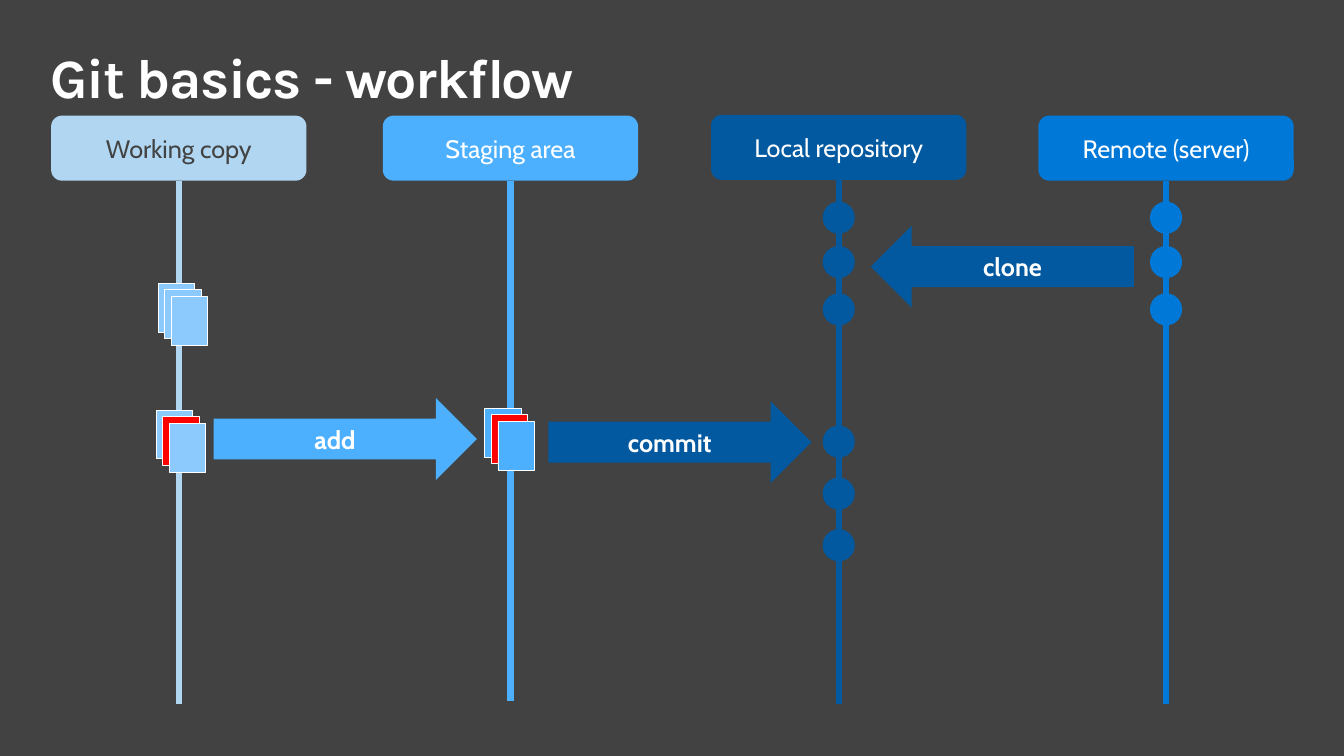
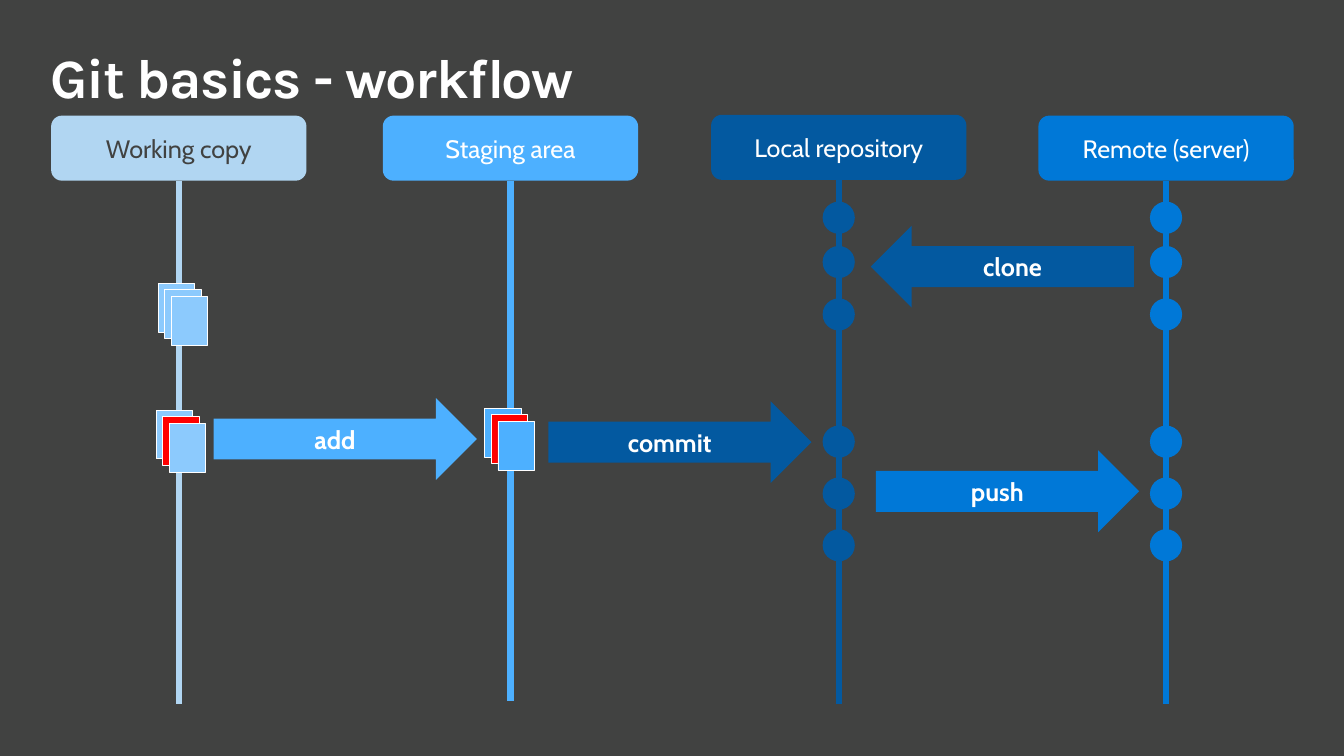
from pptx import Presentation
from pptx.dml.color import RGBColor
from pptx.enum.shapes import MSO_CONNECTOR, MSO_SHAPE
from pptx.enum.text import MSO_ANCHOR, PP_ALIGN
from pptx.oxml.ns import qn
from pptx.util import Pt
from lxml.etree import SubElement

COLORS = {
    "background": "414241",
    "white": "FFFFFF",
    "working": "B1D6F2",
    "staging": "4DB0FF",
    "local": "0359A0",
    "remote": "0078D7",
    "file": "8CCAFD",
    "changed": "FF0000",
}
TITLE = "Git basics - workflow"

# name: (label, label colour, centre x, box top, line end)
LANES = {
    "working": ("Working copy", "background", 127.7, 82.6, 503),
    "staging": ("Staging area", "white", 364.6, 82.6, 501),
    "local": ("Local repository", "white", 599.1, 82, 502.6),
    "remote": ("Remote (server)", "white", 832.9, 82.6, 503),
}
# left, top, file colours from back to front
FILE_STACKS = [
    (113, 202.3, ("file", "file", "file")),
    (111.6, 293, ("file", "changed", "file")),
    (346.3, 291.6, ("staging", "changed", "staging")),
]
# label, colour, preset, left, top
CLONE = ("clone", "local", MSO_SHAPE.LEFT_ARROW, 622, 161.3)
ADD = ("add", "staging", MSO_SHAPE.RIGHT_ARROW, 152.6, 284.4)
COMMIT = ("commit", "local", MSO_SHAPE.RIGHT_ARROW, 391.7, 286.6)
PUSH = ("push", "remote", MSO_SHAPE.RIGHT_ARROW, 625.7, 321.8)

# centre heights of the commits
NEW_COMMITS = [315.5, 352.6, 389.5]
CLONED_ONE = [155.5, 187.2, 221]
CLONED_TWO = [155.5, 187.2, 224.6]

SLIDES = [
    {
        "commits": {"local": CLONED_ONE + NEW_COMMITS, "remote": CLONED_ONE},
        "arrows": [CLONE, ADD, COMMIT],
    },
    {
        "commits": {"local": CLONED_TWO + NEW_COMMITS,
                    "remote": CLONED_TWO + NEW_COMMITS},
        "arrows": [CLONE, ADD, COMMIT, PUSH],
    },
]

BOX_WIDTH, BOX_HEIGHT = 182.4, 46.5
ARROW_WIDTH, ARROW_HEIGHT = 188, 58.4
FILE_WIDTH, FILE_HEIGHT = 26, 34.8
FILE_STEP = 4.7
DOT = 23


def color(name):
    return RGBColor.from_string(COLORS[name])


def write(box, text, size=18, font="Cabin", ink="white", bold=False,
          align=PP_ALIGN.CENTER, anchor=MSO_ANCHOR.MIDDLE):
    """Put one line of formatted text in a shape and return its paragraph and run."""
    frame = box.text_frame
    frame.word_wrap = True
    frame.vertical_anchor = anchor
    para = frame.paragraphs[0]
    para.alignment = align
    span = para.add_run()
    span.text = text
    span.font.size = Pt(size)
    span.font.name = font
    span.font.bold = bold
    span.font.color.rgb = color(ink)
    return para, span


def add_shape(page, preset, left, top, width, height, fill, outline=None):
    shape = page.shapes.add_shape(preset, Pt(left), Pt(top), Pt(width), Pt(height))
    shape.shadow.inherit = False
    shape.fill.solid()
    shape.fill.fore_color.rgb = color(fill)
    if outline:
        shape.line.color.rgb = color(outline)
        shape.line.width = Pt(0.5)
    else:
        shape.line.fill.background()
    return shape


def add_title(page):
    box = page.shapes.add_textbox(Pt(36), Pt(36), Pt(888), Pt(46.8))
    frame = box.text_frame
    frame.margin_left = frame.margin_right = frame.margin_top = frame.margin_bottom = 0
    para, span = write(box, TITLE, size=39.6, font="Karla", bold=True,
                       align=PP_ALIGN.LEFT, anchor=MSO_ANCHOR.TOP)
    para.line_spacing = 0.9
    span._r.get_or_add_rPr().set("spc", "-100")


def add_lane(page, name):
    label, ink, center, top, end = LANES[name]
    line = page.shapes.add_connector(
        MSO_CONNECTOR.STRAIGHT, Pt(center), Pt(top + BOX_HEIGHT), Pt(center), Pt(end))
    line.line.color.rgb = color(name)
    line.line.width = Pt(4.5)
    SubElement(line._element.spPr, qn("a:effectLst"))
    box = add_shape(page, MSO_SHAPE.ROUNDED_RECTANGLE, center - BOX_WIDTH / 2, top,
                    BOX_WIDTH, BOX_HEIGHT, name)
    write(box, label, ink=ink)


def add_file_stack(page, left, top, fills):
    for index, fill in enumerate(fills):
        shift = index * FILE_STEP
        add_shape(page, MSO_SHAPE.RECTANGLE, left + shift, top + shift,
                  FILE_WIDTH, FILE_HEIGHT, fill, outline="white")


def add_commits(page, lane, heights):
    center = LANES[lane][2]
    for height in heights:
        add_shape(page, MSO_SHAPE.OVAL, center - DOT / 2, height - DOT / 2, DOT, DOT, lane)


def add_arrow(page, label, fill, preset, left, top):
    arrow = add_shape(page, preset, left, top, ARROW_WIDTH, ARROW_HEIGHT, fill)
    write(arrow, label, bold=True)


def add_workflow(deck, commits, arrows):
    page = deck.slides.add_slide(deck.slide_layouts[6])
    add_title(page)
    for name in LANES:
        add_lane(page, name)
    for lane, heights in commits.items():
        add_commits(page, lane, heights)
    for stack in FILE_STACKS:
        add_file_stack(page, *stack)
    for arrow in arrows:
        add_arrow(page, *arrow)


def main():
    deck = Presentation()
    deck.slide_width, deck.slide_height = Pt(960), Pt(540)
    backdrop = deck.slide_master.background.fill
    backdrop.solid()
    backdrop.fore_color.rgb = color("background")
    for content in SLIDES:
        add_workflow(deck, **content)
    deck.save("out.pptx")


if __name__ == "__main__":
    main()
